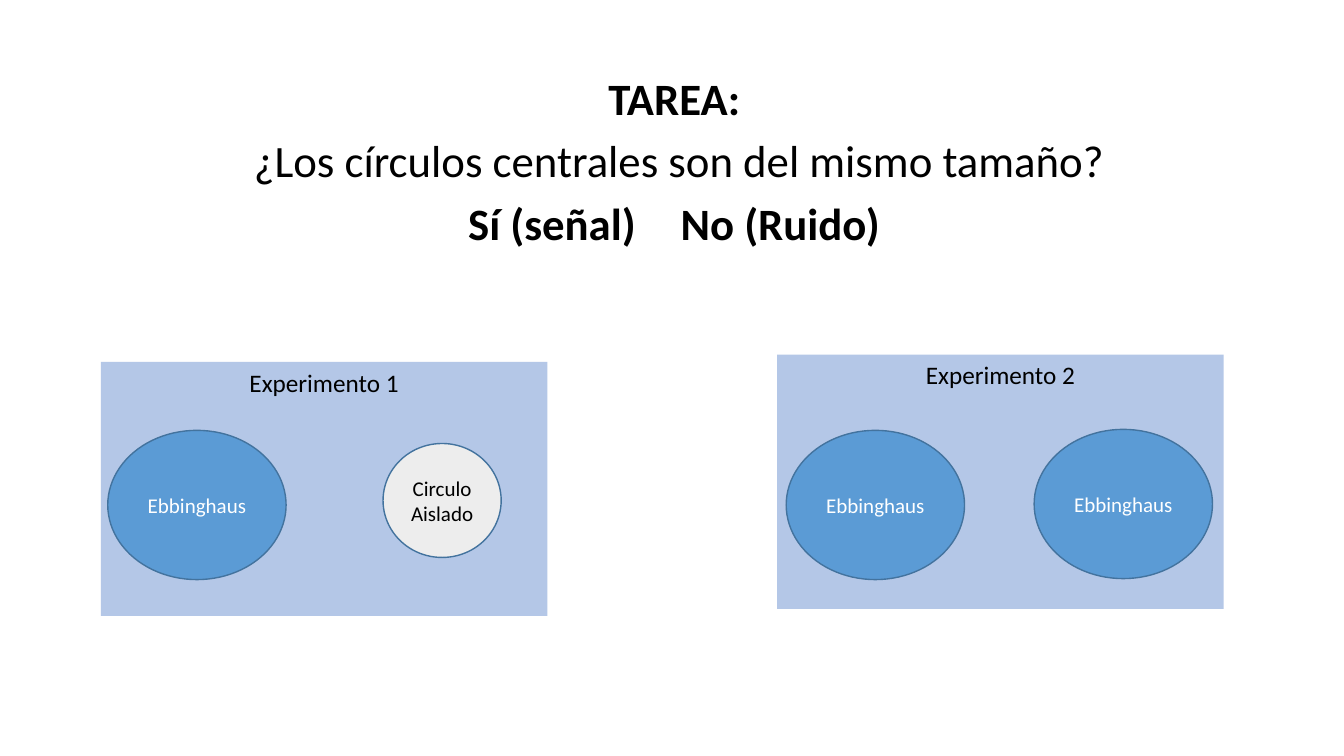
from pptx import Presentation
from pptx.dml.color import RGBColor
from pptx.enum.shapes import MSO_SHAPE as Preset
from pptx.enum.text import MSO_ANCHOR as Anchor, PP_ALIGN as Align
from pptx.util import Pt

BLACK, WHITE = "000000", "FFFFFF"
PANEL_BLUE, CIRCLE_BLUE, OUTLINE_BLUE, PALE_GREY = "B4C7E7", "5B9BD5", "43739E", "EDEDED"
EXPERIMENTS = (("Experimento 1", 72, 258.5), ("Experimento 2", 555.1, 253.4))
EBBINGHAUS_SPOTS = ((77, 307.4), (561.6, 307.4), (738.7, 306.7))
TASK_LINES = (
    ("TAREA:", True),
    (" ¿Los círculos centrales son del mismo tamaño?", False),
    ("Sí (señal)\u2003No (Ruido)", True),
)


def rgb(code):
    """Turn a hex string into a colour."""
    return RGBColor.from_string(code)


def apply(target, values):
    """Set each named format value on the target."""
    for key, value in values.items():
        setattr(target, key, value)


def write(paragraph, words, size, color, bold=False):
    """Write centred words into a paragraph."""
    paragraph.alignment = Align.CENTER
    run = paragraph.add_run()
    run.text = words
    apply(run.font, {"name": "Calibri", "size": Pt(size), "bold": bold})
    run.font.color.rgb = rgb(color)


def add_task(slide, bounds, lines):
    """Add the task heading with one paragraph per line."""
    frame = slide.shapes.add_textbox(*map(Pt, bounds)).text_frame
    frame.word_wrap = True
    for index, (words, bold) in enumerate(lines):
        paragraph = frame.add_paragraph() if index else frame.paragraphs[0]
        apply(paragraph, {"line_spacing": 0.9, "space_before": Pt(10)})
        write(paragraph, words, 32, BLACK, bold)


def add_figure(slide, preset, bounds, fill, words, size, color, anchor, outline=None):
    """Add a filled labelled shape, outlined if a colour is given."""
    figure = slide.shapes.add_shape(preset, *map(Pt, bounds))
    figure.shadow.inherit = False
    figure.fill.solid()
    figure.fill.fore_color.rgb = rgb(fill)
    if outline:
        figure.line.color.rgb = rgb(outline)
        figure.line.width = Pt(1)
    else:
        figure.line.fill.background()
    apply(figure.text_frame, {"word_wrap": True, "vertical_anchor": anchor})
    write(figure.text_frame.paragraphs[0], words, size, color)


def add_panel(slide, title, left, top):
    """Add the titled panel of one experiment."""
    add_figure(slide, Preset.RECTANGLE, (left, top, 319, 181.5),
               PANEL_BLUE, title, 18, BLACK, Anchor.TOP)


def add_circle(slide, bounds, fill, label, color):
    """Add an outlined circle with a centred label."""
    add_figure(slide, Preset.OVAL, bounds, fill, label, 15, color,
               Anchor.MIDDLE, OUTLINE_BLUE)


def main():
    """Build and save the slide."""
    deck = Presentation()
    apply(deck, {"slide_width": Pt(960), "slide_height": Pt(540)})
    slide = deck.slides.add_slide(deck.slide_layouts[6])
    add_task(slide, (67.7, 51.1, 828, 342.7), TASK_LINES)
    for title, left, top in EXPERIMENTS:
        add_panel(slide, title, left, top)
    for left, top in EBBINGHAUS_SPOTS:
        add_circle(slide, (left, top, 127.4, 106.6), CIRCLE_BLUE, "Ebbinghaus", WHITE)
    add_circle(slide, (273.6, 316.8, 84.4, 81.4), PALE_GREY, "Circulo Aislado", BLACK)
    deck.save("out.pptx")


main()
